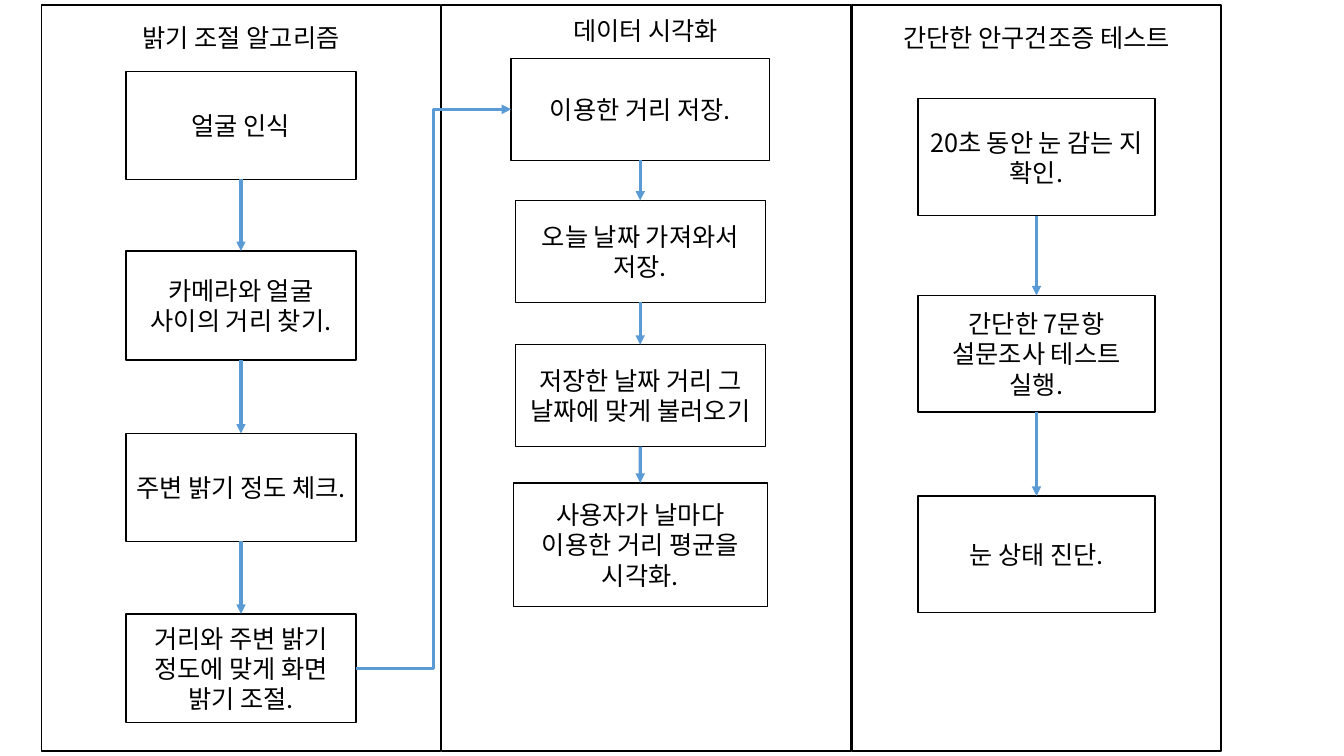
from dataclasses import dataclass
from itertools import pairwise

from lxml import etree
from pptx import Presentation
from pptx.dml.color import RGBColor
from pptx.enum.shapes import MSO_CONNECTOR, MSO_SHAPE
from pptx.enum.text import MSO_ANCHOR, MSO_AUTO_SIZE, PP_ALIGN
from pptx.oxml.ns import qn
from pptx.shapes.autoshape import Shape
from pptx.shapes.connector import Connector
from pptx.slide import Slide
from pptx.util import Inches, Pt

RECTANGLE = MSO_SHAPE.RECTANGLE
STRAIGHT, ELBOW = MSO_CONNECTOR.STRAIGHT, MSO_CONNECTOR.ELBOW
CENTER = PP_ALIGN.CENTER
MIDDLE, TOP = MSO_ANCHOR.MIDDLE, MSO_ANCHOR.TOP
FIT_SHAPE, NO_FIT = MSO_AUTO_SIZE.SHAPE_TO_FIT_TEXT, MSO_AUTO_SIZE.NONE

# Connection sites of a rectangle
SITE_TOP, SITE_LEFT, SITE_BOTTOM, SITE_RIGHT = range(4)

BLACK, WHITE, BLUE = "000000", "FFFFFF", "5B9BD5"
FONT = "Noto Sans CJK KR"
FONT_FORMAT = {"name": FONT, "size": Pt(18)}
STEP_FRAME = {"word_wrap": True, "vertical_anchor": MIDDLE, "auto_size": NO_FIT}
HEADING_FRAME = {"word_wrap": True, "vertical_anchor": TOP, "auto_size": FIT_SHAPE}
PANEL_TOP, PANEL_HEIGHT = 0.05, 7.4
HEADING_HEIGHT = 0.4


@dataclass(frozen=True)
class Step:
    text: str
    top: float
    width: float
    height: float


@dataclass(frozen=True)
class Heading:
    text: str
    left: float
    top: float
    width: float


@dataclass(frozen=True)
class Stage:
    left: float
    width: float
    center: float
    heading: Heading
    steps: tuple[Step, ...]


STAGES = (
    Stage(0.41, 3.96, 2.39, Heading("밝기 조절 알고리즘", 0.58, 0.17, 3.62), (
        Step("얼굴 인식", 0.71, 2.28, 1.07),
        Step("카메라와 얼굴 사이의 거리 찾기.", 2.49, 2.28, 1.08),
        Step("주변 밝기 정도 체크.", 4.3, 2.28, 1.07),
        Step("거리와 주변 밝기 정도에 맞게 화면 밝기 조절.", 6.09, 2.28, 1.08),
    )),
    Stage(4.38, 4.06, 6.35, Heading("데이터 시각화", 4.74, 0.1, 3.33), (
        Step("이용한 거리 저장.", 0.58, 2.56, 1.01),
        Step("오늘 날짜 가져와서 저장.", 1.99, 2.48, 1.01),
        Step("저장한 날짜 거리 그 날짜에 맞게 불러오기", 3.42, 2.48, 1.01),
        Step("사용자가 날마다 이용한 거리 평균을 시각화.", 4.79, 2.52, 1.23),
    )),
    Stage(8.45, 3.66, 10.28, Heading("간단한 안구건조증 테스트", 8.6, 0.17, 3.36), (
        Step("20초 동안 눈 감는 지 확인.", 0.98, 2.35, 1.16),
        Step("간단한 7문항 설문조사 테스트 실행.", 2.93, 2.35, 1.16),
        Step("눈 상태 진단.", 4.92, 2.35, 1.16),
    )),
)


def color(value: str) -> RGBColor:
    return RGBColor.from_string(value)


def write(shape: Shape, text: str, frame_format: dict) -> None:
    frame = shape.text_frame
    for name, value in frame_format.items():
        setattr(frame, name, value)
    paragraph = frame.paragraphs[0]
    paragraph.alignment = CENTER
    run = paragraph.add_run()
    run.text = text
    for name, value in FONT_FORMAT.items():
        setattr(run.font, name, value)
    run.font.color.rgb = color(BLACK)
    # Hangul takes its typeface from the East Asian font
    properties = run.font._element
    etree.SubElement(properties, qn("a:ea")).set("typeface", FONT)


def add_box(slide: Slide, left: float, top: float, width: float, height: float) -> Shape:
    box = slide.shapes.add_shape(
        RECTANGLE, Inches(left), Inches(top), Inches(width), Inches(height))
    box.shadow.inherit = False
    box.fill.solid()
    box.fill.fore_color.rgb = color(WHITE)
    box.line.color.rgb = color(BLACK)
    box.line.width = Pt(1)
    return box


def add_heading(slide: Slide, heading: Heading) -> None:
    label = slide.shapes.add_textbox(
        Inches(heading.left), Inches(heading.top),
        Inches(heading.width), Inches(HEADING_HEIGHT))
    write(label, heading.text, HEADING_FRAME)


def add_step(slide: Slide, step: Step, center: float) -> Shape:
    box = add_box(slide, center - step.width / 2, step.top, step.width, step.height)
    write(box, step.text, STEP_FRAME)
    return box


def add_arrow(slide: Slide, kind: MSO_CONNECTOR, source: Shape, source_site: int,
              target: Shape, target_site: int) -> Connector:
    arrow = slide.shapes.add_connector(kind, 0, 0, 0, 0)
    arrow.begin_connect(source, source_site)
    arrow.end_connect(target, target_site)
    arrow.line.color.rgb = color(BLUE)
    arrow.line.width = Pt(2.25)
    line = arrow.line._get_or_add_ln()
    etree.SubElement(line, qn("a:tailEnd")).set("type", "triangle")
    etree.SubElement(arrow._element.spPr, qn("a:effectLst"))
    return arrow


def add_stage(slide: Slide, stage: Stage) -> list[Shape]:
    add_box(slide, stage.left, PANEL_TOP, stage.width, PANEL_HEIGHT)
    add_heading(slide, stage.heading)
    boxes = [add_step(slide, step, stage.center) for step in stage.steps]
    for upper, lower in pairwise(boxes):
        add_arrow(slide, STRAIGHT, upper, SITE_BOTTOM, lower, SITE_TOP)
    return boxes


def main() -> None:
    presentation = Presentation()
    presentation.slide_width = Inches(13.33)
    presentation.slide_height = Inches(7.5)
    slide = presentation.slides.add_slide(presentation.slide_layouts[6])

    # Three stages, each a panel with its chain of steps
    brightness, visualization, _ = [add_stage(slide, stage) for stage in STAGES]

    # Brightness control hands its result to the visualization
    add_arrow(slide, ELBOW, brightness[-1], SITE_RIGHT, visualization[0], SITE_LEFT)

    presentation.save("out.pptx")


if __name__ == "__main__":
    main()
